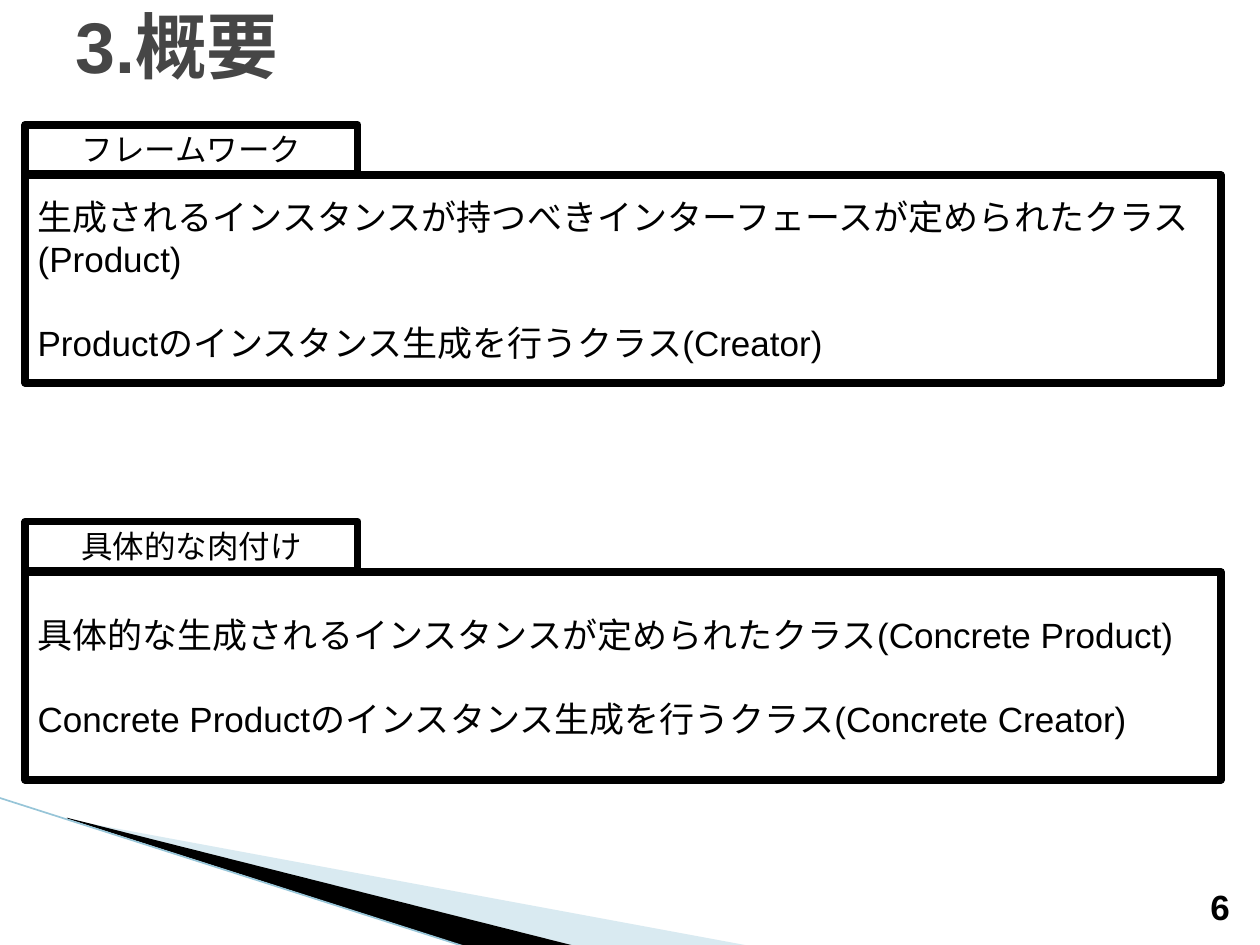
from dataclasses import dataclass

from lxml import etree
from pptx import Presentation
from pptx.dml.color import RGBColor
from pptx.enum.shapes import MSO_CONNECTOR, MSO_SHAPE
from pptx.enum.text import MSO_ANCHOR, PP_ALIGN
from pptx.oxml.ns import qn
from pptx.util import Pt

RECT = MSO_SHAPE.RECTANGLE
STRAIGHT = MSO_CONNECTOR.STRAIGHT
LEFT, CENTER, RIGHT = PP_ALIGN.LEFT, PP_ALIGN.CENTER, PP_ALIGN.RIGHT
MIDDLE, BOTTOM = MSO_ANCHOR.MIDDLE, MSO_ANCHOR.BOTTOM

BLACK = RGBColor(0x00, 0x00, 0x00)
WHITE = RGBColor(0xFF, 0xFF, 0xFF)
GRAY = RGBColor(0x46, 0x46, 0x46)
PALE_BLUE = RGBColor(0xA0, 0xCB, 0xDC)
LINE_BLUE = RGBColor(0x97, 0xC5, 0xD8)
FONT = "Arial"

PACKAGE_LEFT = 14.4
TAB_WIDTH, TAB_HEIGHT = 190, 28.1
BODY_WIDTH, BODY_HEIGHT = 683.3, 118.8
BODY_OFFSET = 28.8


@dataclass
class Package:
    top: float
    name: str
    lines: list[str]


@dataclass
class Wedge:
    points: list[tuple[float, float]]
    color: RGBColor
    opacity: int


PACKAGES = [
    Package(71.3, "フレームワーク", [
        "生成されるインスタンスが持つべきインターフェースが定められたクラス(Product)",
        "Productのインスタンス生成を行うクラス(Creator)",
    ]),
    Package(298.1, "具体的な肉付け", [
        "具体的な生成されるインスタンスが定められたクラス(Concrete Product)",
        "Concrete Productのインスタンス生成を行うクラス(Concrete Creator)",
    ]),
]

WEDGES = [
    Wedge([(39.6, 468.5), (428.4, 540.5), (328.3, 540.5), (39.6, 468)], PALE_BLUE, 40),
    Wedge([(38.2, 467.3), (329, 540.7), (267.8, 541.4), (38.9, 468)], BLACK, 100),
]


def write(s, lines: list[str], size: float, align=LEFT, anchor=MIDDLE,
          color: RGBColor = BLACK, bold: bool = False, gap: float = 0) -> None:
    tf = s.text_frame
    tf.word_wrap = True
    tf.vertical_anchor = anchor
    tf.text = "\n".join(lines)
    for i, p in enumerate(tf.paragraphs):
        p.alignment = align
        p.space_before = Pt(gap if i else 0)
        for r in p.runs:
            r.font.name = FONT
            r.font.size = Pt(size)
            r.font.bold = bold
            r.font.color.rgb = color


def add_label(slide, box: tuple[float, float, float, float], text: str, size: float, **style) -> None:
    s = slide.shapes.add_textbox(*map(Pt, box))
    write(s, [text], size, bold=True, **style)


def add_frame(slide, top: float, width: float, height: float):
    s = slide.shapes.add_shape(RECT, Pt(PACKAGE_LEFT), Pt(top), Pt(width), Pt(height))
    s.shadow.inherit = False
    s.fill.solid()
    s.fill.fore_color.rgb = WHITE
    s.line.color.rgb = BLACK
    s.line.width = Pt(4.33)
    return s


def add_package(slide, package: Package) -> None:
    body = add_frame(slide, package.top + BODY_OFFSET, BODY_WIDTH, BODY_HEIGHT)
    write(body, package.lines, 20, gap=24)
    tab = add_frame(slide, package.top, TAB_WIDTH, TAB_HEIGHT)
    write(tab, [package.name], 18, align=CENTER)


def add_wedge(slide, wedge: Wedge) -> None:
    start, *rest = [(Pt(x), Pt(y)) for x, y in wedge.points]
    builder = slide.shapes.build_freeform(*start)
    builder.add_line_segments(rest, close=True)
    s = builder.convert_to_shape()
    s.shadow.inherit = False
    s.line.fill.background()
    s.fill.solid()
    s.fill.fore_color.rgb = wedge.color
    if wedge.opacity < 100:
        color = s.fill._xPr.find(qn("a:solidFill"))[0]
        etree.SubElement(color, qn("a:alpha")).set("val", str(wedge.opacity * 1000))


def add_edge(slide) -> None:
    s = slide.shapes.add_connector(STRAIGHT, Pt(-0.7), Pt(455.8), Pt(267.1), Pt(541.4))
    s.line.color.rgb = LINE_BLUE
    s.line.width = Pt(0.95)
    etree.SubElement(s._element.spPr, qn("a:effectLst"))


prs = Presentation()
prs.slide_width, prs.slide_height = Pt(720), Pt(540)
slide = prs.slides.add_slide(prs.slide_layouts[6])

for wedge in WEDGES:
    add_wedge(slide, wedge)
add_edge(slide)
add_label(slide, (681.1, 504.7, 28.8, 28.8), "6", 20, align=RIGHT, anchor=BOTTOM)
add_label(slide, (36, -19.4, 648, 90), "3.概要", 41, color=GRAY)
for package in PACKAGES:
    add_package(slide, package)

prs.save("out.pptx")
